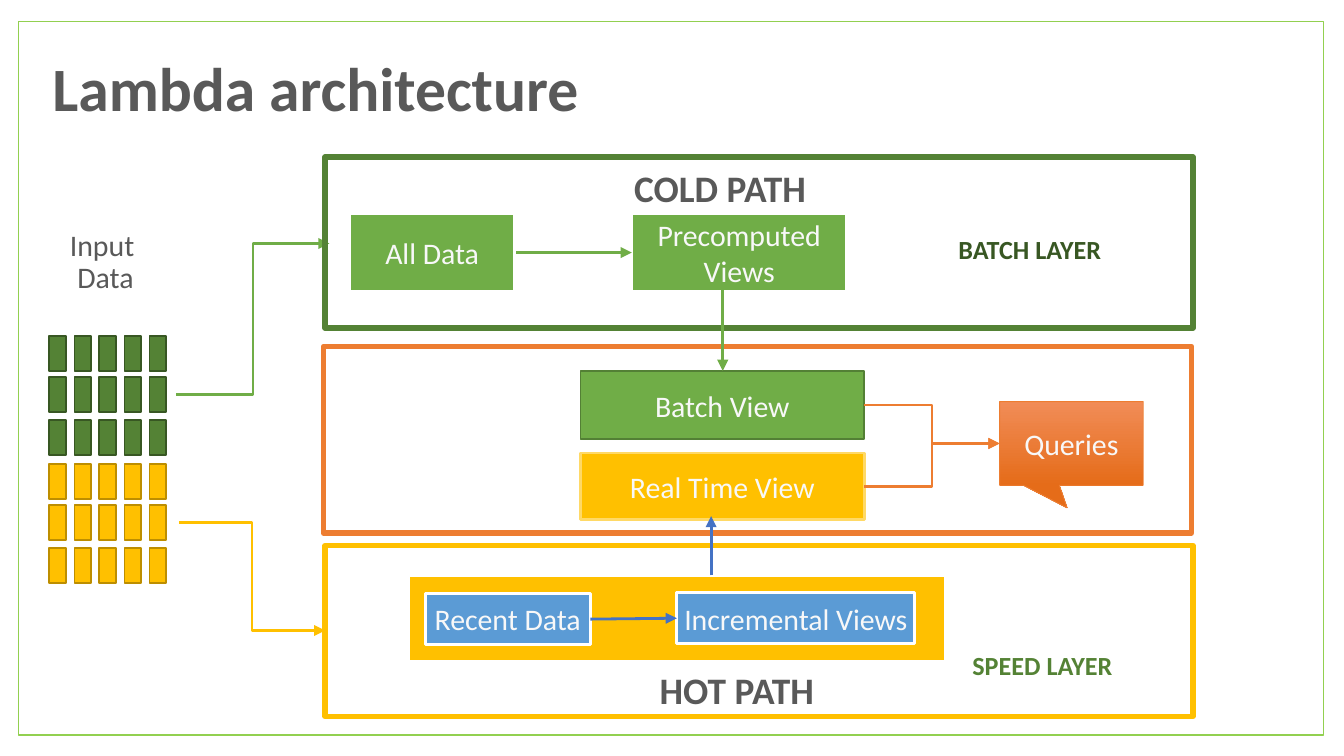
from lxml import etree
from pptx import Presentation
from pptx.dml.color import RGBColor
from pptx.enum.shapes import MSO_CONNECTOR as Link, MSO_SHAPE as Form
from pptx.enum.text import MSO_ANCHOR as Anchor, MSO_AUTO_SIZE as Fit, PP_ALIGN as Align
from pptx.oxml.ns import qn
from pptx.util import Pt

COLORS = {
    "frame": "92D050", "text": "595959", "light": "F8F8F8", "white": "FFFFFF",
    "green": "70AD47", "edge": "538035", "moss": "548235", "forest": "385723",
    "gold": "FFC000", "bronze": "BD8E00", "cream": "FFD966",
    "orange": "ED7D31", "sky": "5B9BD5", "blue": "4472C4",
    "glow": "F18C57", "ember": "E56C19",
}


def color(name):
    return RGBColor.from_string(COLORS[name])


def apply(target, values):
    for name, value in values.items():
        setattr(target, name, value)


def write(box, lines, size, tint, bold=False, align=Align.LEFT, spacing=None, after=0):
    for index, line in enumerate(lines):
        frame = box.text_frame
        para = frame.add_paragraph() if index else frame.paragraphs[0]
        apply(para, {"alignment": align, "line_spacing": spacing, "space_after": Pt(after)})
        span = para.add_run()
        span.text = line
        apply(span.font, {"name": "Calibri", "size": Pt(size), "bold": bold})
        span.font.color.rgb = color(tint)


def add_label(page, place, lines, size, tint="text", bold=True, wrap=False,
              insets=(7.2, 3.6), anchor=Anchor.TOP, fit=Fit.SHAPE_TO_FIT_TEXT, **layout):
    box = page.shapes.add_textbox(*map(Pt, place))
    side, top = map(Pt, insets)
    apply(box.text_frame, {
        "word_wrap": wrap, "auto_size": fit, "vertical_anchor": anchor,
        "margin_left": side, "margin_right": side, "margin_top": top, "margin_bottom": top,
    })
    write(box, lines, size, tint, bold, spacing=0.9, **layout)


def add_block(page, place, fill, line, width, text=None, form=Form.RECTANGLE):
    block = page.shapes.add_shape(form, *map(Pt, place))
    block.shadow.inherit = False
    if fill:
        block.fill.solid()
        block.fill.fore_color.rgb = color(fill)
    else:
        block.fill.background()
    block.line.color.rgb = color(line)
    block.line.width = Pt(width)
    if text:
        apply(block.text_frame, {
            "word_wrap": True, "vertical_anchor": Anchor.MIDDLE,
            "margin_left": 0, "margin_right": 0,
            "margin_top": Pt(3.6), "margin_bottom": Pt(3.6),
        })
        write(block, [text], 16, "light", align=Align.CENTER)
    return block


def add_callout(page, place, text):
    callout = add_block(page, place, None, "orange", 0.5, text, Form.RECTANGULAR_CALLOUT)
    callout.adjustments[0], callout.adjustments[1] = -0.03, 0.77
    callout.fill.gradient()
    callout.fill.gradient_angle = 270
    for stop, name in zip(callout.fill.gradient_stops, ("glow", "ember")):
        stop.color.rgb = color(name)


def add_arrow(page, start, end, tint, kind=Link.STRAIGHT):
    arrow = page.shapes.add_connector(kind, *map(Pt, (*start, *end)))
    arrow.line.color.rgb = color(tint)
    arrow.line.width = Pt(1.5)
    etree.SubElement(arrow.line._get_or_add_ln(), qn("a:tailEnd"), type="triangle")
    etree.SubElement(arrow._element.spPr, qn("a:effectLst"))


def add_tokens(page, top, fill, line):
    """Draw three rows of five small input records."""
    for offset in (0, 22, 45):
        for column in range(5):
            add_block(page, (26.5 + 13.4 * column, top + offset, 8.8, 18.8), fill, line, 1)


def add_input(page):
    add_label(page, (28, 120.2, 57, 42.5), ["Input ", "Data"], 16, bold=False,
              wrap=True, align=Align.CENTER)
    add_tokens(page, 180, "moss", "forest")
    add_tokens(page, 248.5, "gold", "bronze")


def add_batch_layer(page):
    add_label(page, (499, 119.5, 106, 39), ["BATCH LAYER"], 14, "forest",
              insets=(14.4, 11.5), after=6)
    add_block(page, (338.5, 114.5, 115, 41.5), "green", "white", 1.5, "Precomputed Views")
    add_block(page, (187.3, 114.5, 88.5, 41.5), "green", "white", 1.5, "All Data")
    add_arrow(page, (276.5, 135.3), (338.5, 135.3), "green")
    add_arrow(page, (94.5, 211.5), (176.5, 130.5), "green", Link.ELBOW)
    add_block(page, (174.2, 84.2, 465, 91.5), None, "moss", 3)
    add_label(page, (332.6, 87.8, 107, 28.8), ["COLD PATH"], 20)


def add_serving_layer(page):
    add_block(page, (173.3, 185.6, 465, 100), None, "orange", 3)
    add_block(page, (311, 198.7, 152, 36.7), "green", "edge", 1, "Batch View")
    add_block(page, (311, 242.7, 152, 35.5), "gold", "cream", 1.5, "Real Time View")
    add_callout(page, (535.5, 215.2, 77, 44.8), "Queries")
    for start in (217, 260.6):
        add_arrow(page, (463, start), (535.5, 237.6), "orange", Link.ELBOW)
    add_arrow(page, (387.2, 153.5), (387.2, 198.7), "green")


def add_speed_layer(page):
    add_block(page, (219, 308.5, 287.3, 46), "gold", "white", 1.5)
    add_block(page, (227.8, 318, 88.5, 27.3), "sky", "white", 1.5, "Recent Data")
    add_block(page, (362.6, 317.5, 127.5, 27.3), "sky", "white", 1.5, "Incremental Views")
    add_arrow(page, (316.3, 331.7), (362.6, 331.2), "blue")
    add_label(page, (506.5, 342, 108, 41), ["SPEED LAYER"], 14, "moss",
              insets=(14.4, 11.5), after=6)
    add_arrow(page, (95.8, 280), (174.2, 337.8), "gold", Link.ELBOW)
    add_block(page, (174.2, 292.3, 465, 91.5), None, "gold", 3)
    add_label(page, (346.3, 356.4, 101, 28.8), ["HOT PATH"], 20)
    add_arrow(page, (381, 308.2), (381, 276.5), "blue")


def main():
    deck = Presentation()
    apply(deck, {"slide_width": Pt(720), "slide_height": Pt(405)})
    page = deck.slides.add_slide(deck.slide_layouts[6])
    add_block(page, (10, 11.5, 699, 382.3), None, "frame", 0.75)
    add_label(page, (21, 21.6, 600, 54.7), ["Lambda architecture"], 33, wrap=True,
              anchor=Anchor.MIDDLE, fit=Fit.NONE)
    add_batch_layer(page)
    add_input(page)
    add_serving_layer(page)
    add_speed_layer(page)
    deck.save("out.pptx")


if __name__ == "__main__":
    main()
